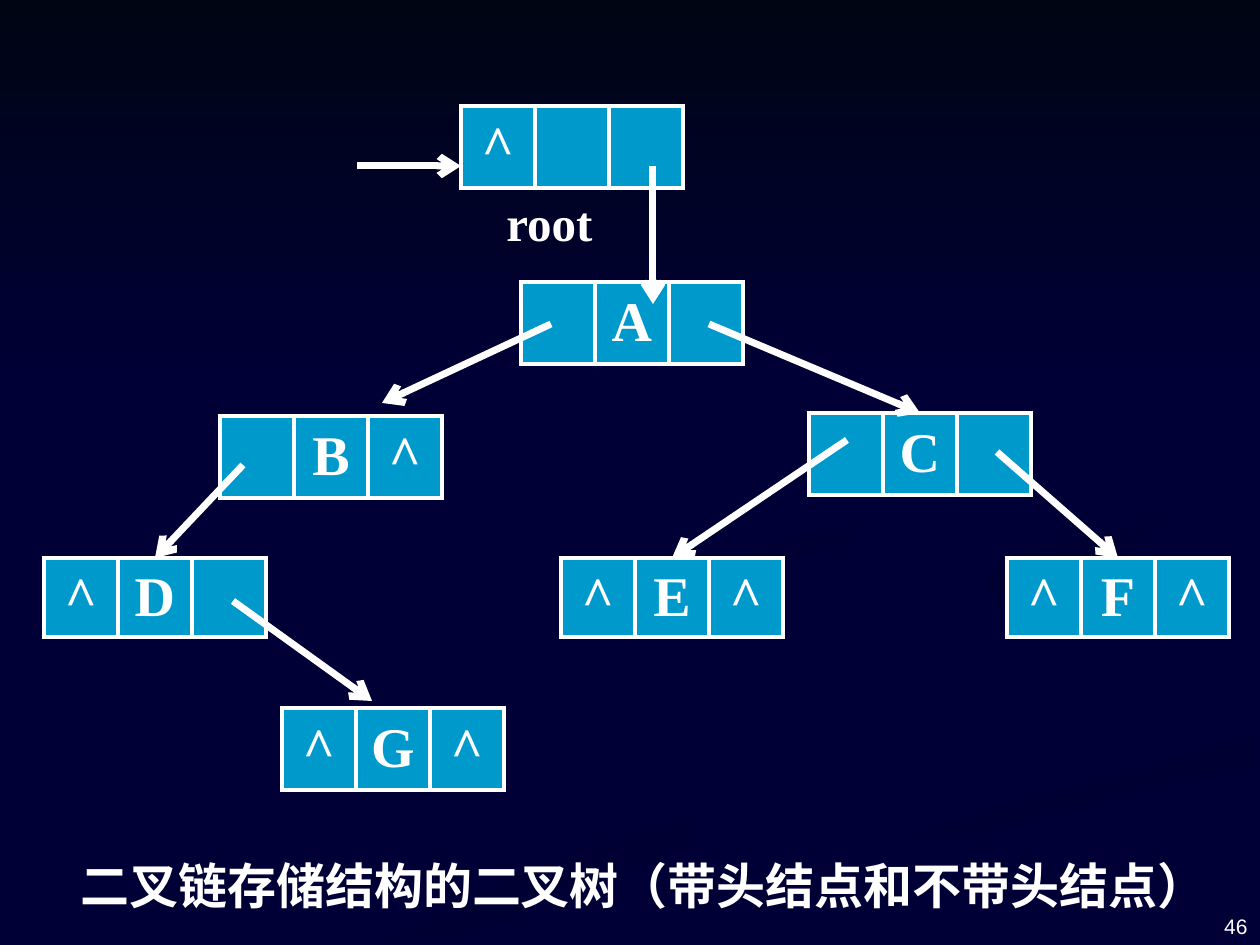
import pptx
import pptx.util
import pptx.oxml
import pptx.oxml.ns
import pptx.dml.color
import pptx.enum.text as enum
import pptx.enum.shapes as kinds
import lxml.etree as tree

PX = 914400 / 126
RGB = pptx.dml.color.RGBColor.from_string
NS = 'xmlns:a="http://schemas.openxmlformats.org/drawingml/2006/main"'

THEME = {
    "back": "000036", "dark": "000514", "dim": "000032",
    "cell": "0099CC", "ink": "FFFFFF",
    "serif": "Times New Roman", "sans": "Arial", "han": "Noto Sans CJK SC",
    "node": 32, "label": 28, "page": 12, "rule": 3, "arrow": 4,
}


def emu(*vals):
    return [pptx.util.Emu(round(v * PX)) for v in vals]


def write(frame, text, look, **more):
    """Put one styled paragraph in a text frame."""
    para = frame.paragraphs[0]
    run = para.add_run()
    run.text = text
    form = {"bold": True, **look}
    for key, val in form.items():
        setattr(run.font, key, val)
    run.font.color.rgb = RGB(THEME["ink"])
    for key, val in more.items():
        setattr(para, key, val)
    return run


deck = pptx.Presentation()
deck.slide_width, deck.slide_height = emu(1260, 945)
slide = deck.slides.add_slide(deck.slide_layouts[5])
shapes = slide.shapes

# Background: plain navy, faint ribbons, dark band at the top
slide.background.fill.solid()
slide.background.fill.fore_color.rgb = RGB(THEME["back"])

ribbons = [
    ([(984, 697), (860, 654), (742, 611), (723, 585), (720, 595), (766, 624),
      (878, 661), (978, 697), (989, 718), (966, 740), (880, 767), (679, 818),
      (525, 871), (378, 944), (455, 944), (587, 882), (748, 827), (891, 790),
      (983, 763), (1008, 732)], 0),
    ([(634, 944), (719, 944), (774, 915), (876, 872), (989, 832), (1138, 794),
      (1257, 767), (1257, 732), (1159, 762), (1005, 804), (834, 858),
      (717, 906)], 270),
    ([(984, 580), (997, 603), (1041, 625), (1019, 610), (1015, 595),
      (1031, 578), (1082, 558), (1179, 541), (1257, 529), (1257, 507),
      (1132, 527), (1034, 547)], 315),
    ([(861, 542), (990, 519), (1077, 493), (1120, 456), (1125, 422),
      (1100, 377), (1034, 329), (960, 294), (1066, 352), (1115, 403),
      (1116, 438), (1073, 471), (961, 501), (788, 537), (733, 562),
      (728, 590), (761, 620), (784, 630), (752, 605), (757, 575),
      (800, 555)], 315),
]
for points, turn in ribbons:
    build = shapes.build_freeform(*points[0], scale=PX)
    build.add_line_segments(points[1:], close=True)
    band = build.convert_to_shape()
    band.shadow.inherit = False
    band.line.fill.background()
    band.fill.gradient()
    band.fill.gradient_angle = turn
    for stop, tone in zip(band.fill.gradient_stops, ("dim", "back")):
        stop.color.rgb = RGB(THEME[tone])

top = shapes.add_shape(kinds.MSO_SHAPE.RECTANGLE, *emu(0, 0, 1260, 388))
top.shadow.inherit = False
top.line.fill.background()
top.fill.gradient()
top.fill.gradient_angle = 270
for stop, tone in zip(top.fill.gradient_stops, ("dark", "back")):
    stop.color.rgb = RGB(THEME[tone])

# Caption goes in front of the background
head = shapes.title
head.left, head.top, head.width, head.height = emu(68, 849, 1168, 72)
head._element.getparent().append(head._element)

# Tree nodes: left link, value, right link
nodes = [
    (461, 106, 82, "^  "), (521, 282, 82, " A "), (220, 416, 82, " B^"),
    (809, 413, 82, " C "), (44, 558, 79, "^D "), (282, 708, 82, "^G^"),
    (561, 558, 79, "^E^"), (1007, 558, 79, "^F^"),
]
for left, up, high, marks in nodes:
    table = shapes.add_table(1, 3, *emu(left, up, 222, high)).table
    for col, mark in enumerate(marks):
        cell = table.cell(0, col)
        cell.fill.solid()
        cell.fill.fore_color.rgb = RGB(THEME["cell"])
        cell.vertical_anchor = enum.MSO_ANCHOR.MIDDLE
        if mark.strip():
            write(cell.text_frame, mark,
                  {"name": THEME["serif"], "size": pptx.util.Pt(THEME["node"])},
                  alignment=enum.PP_ALIGN.CENTER)
        prop = cell._tc.get_or_add_tcPr()
        for spot, side in enumerate("LRTB"):
            prop.insert(spot, pptx.oxml.parse_xml(
                f'<a:ln{side} {NS} w="{THEME["rule"] * 12700}"><a:solidFill>'
                f'<a:srgbClr val="{THEME["ink"]}"/></a:solidFill></a:ln{side}>'))

# Links between nodes
links = [
    (551, 324, 382, 403), (709, 324, 920, 413), (243, 465, 155, 558),
    (233, 601, 372, 701), (847, 440, 672, 558), (997, 452, 1118, 558),
    (357, 166, 461, 166), (653, 166, 653, 304),
]
for ends in links:
    link = shapes.add_connector(kinds.MSO_CONNECTOR.STRAIGHT, *emu(*ends))
    link.line.color.rgb = RGB(THEME["ink"])
    link.line.width = pptx.util.Pt(THEME["arrow"])
    tip = tree.SubElement(link.line._get_or_add_ln(),
                          pptx.oxml.ns.qn("a:tailEnd"))
    tip.set("type", "arrow")
    tree.SubElement(link._element.spPr, pptx.oxml.ns.qn("a:effectLst"))

# Text of the caption, root label and page number
root = shapes.add_textbox(*emu(494, 186, 112, 72))
page = shapes.add_textbox(*emu(966, 879, 294, 66))
side = enum.PP_ALIGN
rows = [
    (head, "二叉链存储结构的二叉树（带头结点和不带头结点）", "han", "label", True,
     side.LEFT, enum.MSO_ANCHOR.TOP),
    (root, "root", "serif", "label", True, side.LEFT, enum.MSO_ANCHOR.TOP),
    (page, "46", "sans", "page", False, side.RIGHT, enum.MSO_ANCHOR.BOTTOM),
]
for box, text, face, size, bold, align, anchor in rows:
    frame = box.text_frame
    form = {"word_wrap": box is page, "auto_size": enum.MSO_AUTO_SIZE.NONE,
            "vertical_anchor": anchor}
    for key, val in form.items():
        setattr(frame, key, val)
    run = write(frame, text, {"name": THEME[face], "bold": bold,
                              "size": pptx.util.Pt(THEME[size])},
                alignment=align)
    east = tree.SubElement(run.font._element, pptx.oxml.ns.qn("a:ea"))
    east.set("typeface", THEME[face])

deck.save("out.pptx")
